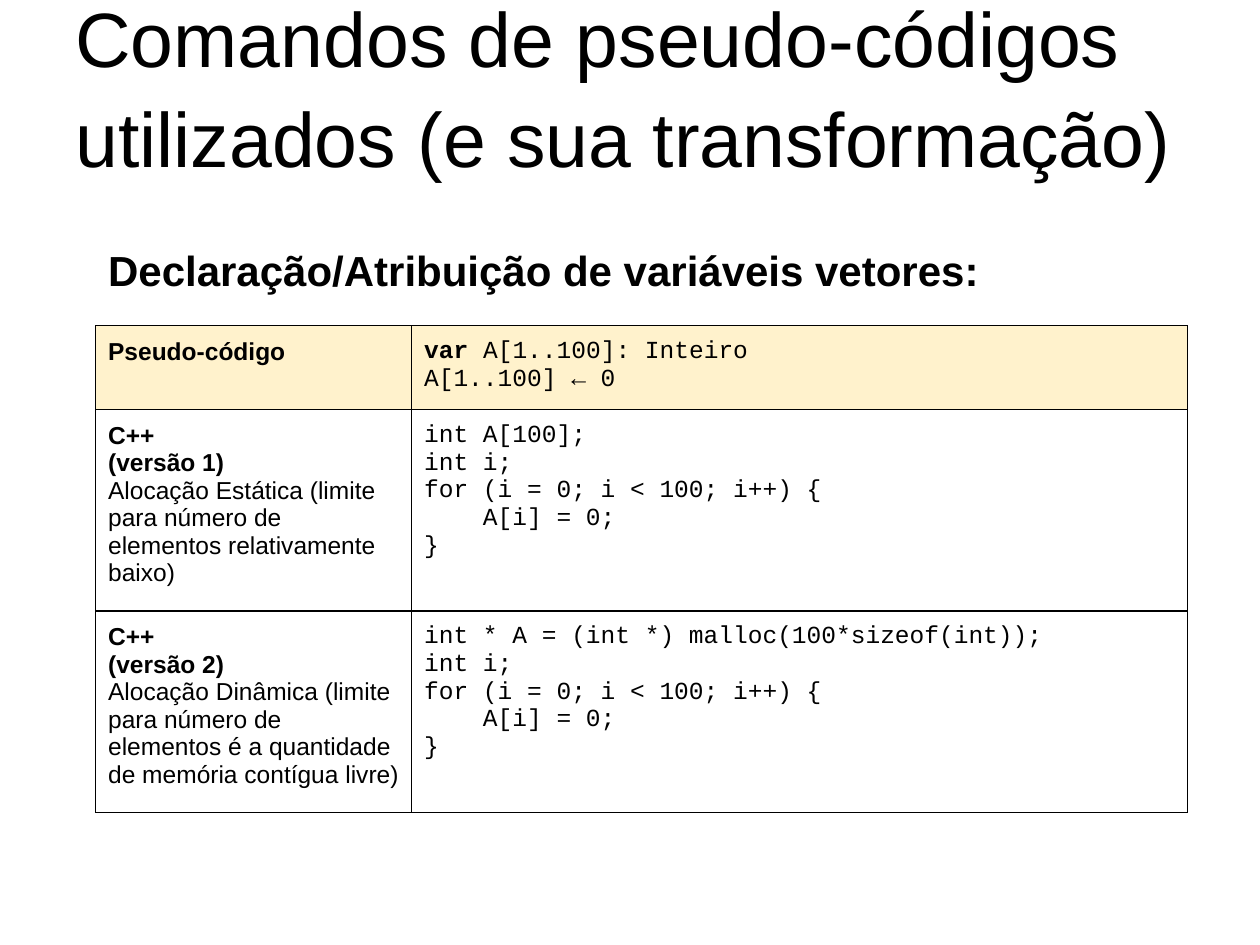
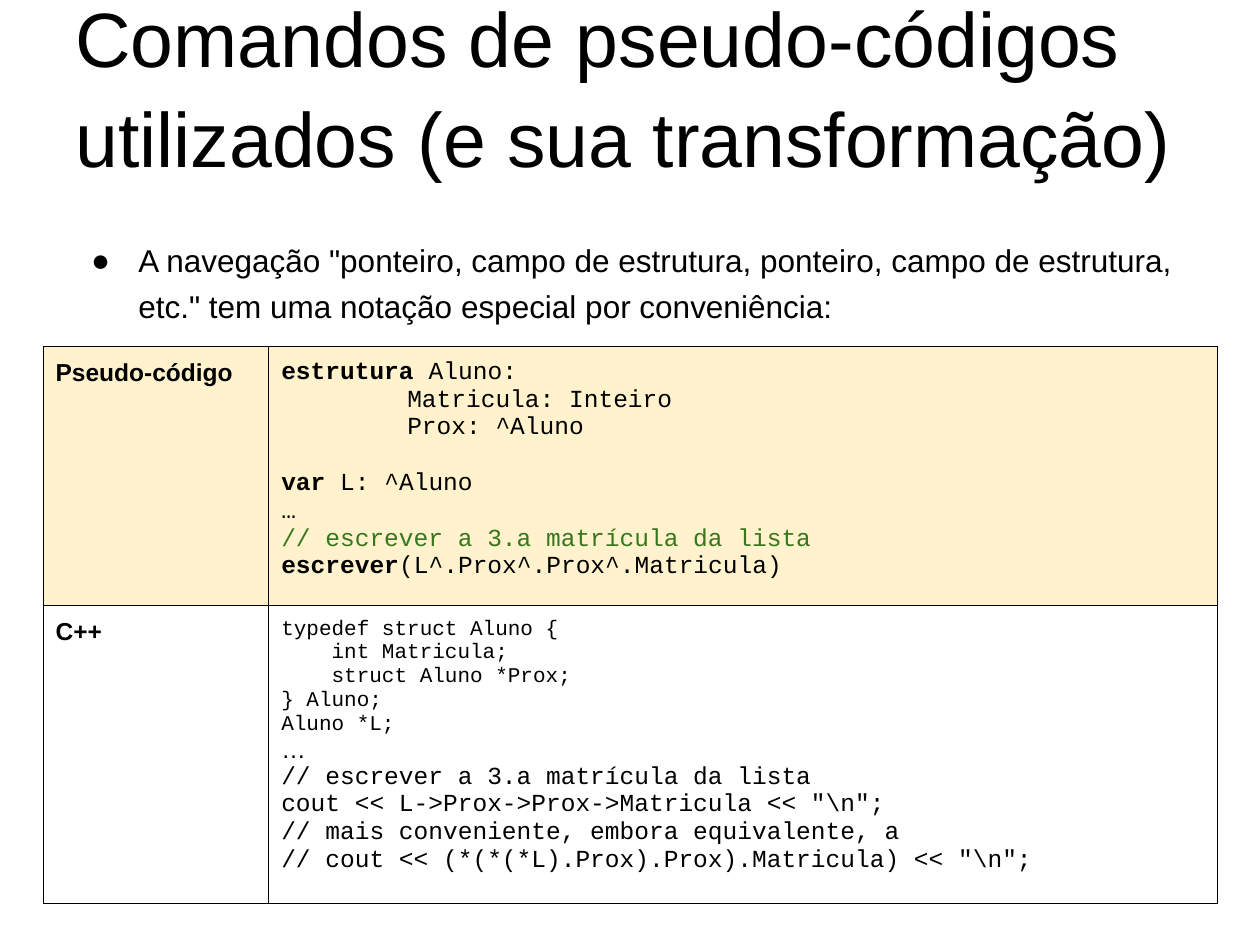
from lxml import etree
from pptx import Presentation
from pptx.dml.color import RGBColor
from pptx.enum.text import MSO_ANCHOR
from pptx.oxml.ns import qn
from pptx.util import Cm, Pt

TOP, BOTTOM = MSO_ANCHOR.TOP, MSO_ANCHOR.BOTTOM
COLORS = {"text": "000000", "header": "FFF2CC", "comment": "38761D", "border": "000000"}
SANS, MONO = "Arial", "Courier New"
INSET = Cm(0.25)

# Text styles: font, size, bold, colour
STYLES = {
    "title": (SANS, 44, False, "text"),
    "heading": (SANS, 24, True, "text"),
    "bullet": (SANS, 18, False, "text"),
    "label": (SANS, 14, True, "text"),
    "note": (SANS, 14, False, "text"),
    "code": (MONO, 14, False, "text"),
    "keyword": (MONO, 14, True, "text"),
    "comment": (MONO, 14, False, "comment"),
    "small": (MONO, 12, False, "text"),
}


# Content: a cell is a list of lines, a line is a list of (text, style) runs
def lines(style, *texts):
    return [[(text, style)] for text in texts]


TITLE = "Comandos de pseudo-códigos utilizados (e sua transformação)"
LOOP = ["int i;", "for (i = 0; i < 100; i++) {", "    A[i] = 0;", "}"]

SLIDES = [
    {
        "body": ("Declaração/Atribuição de variáveis vetores:", "heading"),
        "body_left": 1.93, "body_width": 20.12,
        "table_at": (1.93, 6.57), "cols": (6.37, 15.63), "rows": (1.63, 3.83, 3.83),
        "cells": [
            (lines("label", "Pseudo-código"),
             [[("var ", "keyword"), ("A[1..100]: Inteiro", "code")],
              [("A[1..100] ← 0", "code")]]),
            (lines("label", "C++", "(versão 1)")
             + lines("note", "Alocação Estática (limite para número de elementos "
                             "relativamente baixo)"),
             lines("code", "int A[100];", *LOOP)),
            (lines("label", "C++", "(versão 2)")
             + lines("note", "Alocação Dinâmica (limite para número de elementos é a "
                             "quantidade de memória contígua livre)"),
             lines("code", "int * A = (int *) malloc(100*sizeof(int));", *LOOP)),
        ],
    },
    {
        "body": ('A navegação "ponteiro, campo de estrutura, ponteiro, campo de estrutura, '
                 'etc." tem uma notação especial por conveniência:', "bullet"),
        "body_left": 1.27, "body_width": 22.86,
        "table_at": (0.87, 6.99), "cols": (4.55, 19.12), "rows": (4.98, 5.7),
        "gap_before": "var ",
        "cells": [
            (lines("label", "Pseudo-código"),
             [[("estrutura ", "keyword"), ("Aluno:", "code")]]
             + lines("code", "\tMatricula: Inteiro", "\tProx: ^Aluno")
             + [[("var ", "keyword"), ("L: ^Aluno", "code")]]
             + lines("code", "…")
             + lines("comment", "// escrever a 3.a matrícula da lista")
             + [[("escrever", "keyword"), ("(L^.Prox^.Prox^.Matricula)", "code")]]),
            (lines("label", "C++"),
             lines("small", "typedef struct Aluno {", "    int Matricula;",
                   "    struct Aluno *Prox;", "} Aluno;", "Aluno *L;")
             + lines("note", "…")
             + lines("code", "// escrever a 3.a matrícula da lista",
                     r'cout << L->Prox->Prox->Matricula << "\n";',
                     "// mais conveniente, embora equivalente, a",
                     r'// cout << (*(*(*L).Prox).Prox).Matricula) << "\n";')),
        ],
    },
]


def add_run(p, text, style):
    name, size, bold, color = STYLES[style]
    r = p.add_run()
    r.text = text
    r.font.name, r.font.size, r.font.bold = name, Pt(size), bold
    r.font.color.rgb = RGBColor.from_string(COLORS[color])


def set_insets(box):
    box.margin_left = box.margin_right = box.margin_top = box.margin_bottom = INSET


def add_text(slide, at, text, style, spacing, anchor=TOP):
    tf = slide.shapes.add_textbox(*(Cm(v) for v in at)).text_frame
    tf.word_wrap = True
    tf.vertical_anchor = anchor
    set_insets(tf)
    p = tf.paragraphs[0]
    p.line_spacing = spacing
    if style == "bullet":
        add_bullet(p)
    add_run(p, text, style)


def add_bullet(p):
    pPr = p._p.get_or_add_pPr()
    pPr.set("marL", str(Cm(1.27)))
    pPr.set("indent", str(-Cm(0.95)))
    etree.SubElement(pPr, qn("a:buFont")).set("typeface", SANS)
    etree.SubElement(pPr, qn("a:buChar")).set("char", "●")


def add_borders(cell):
    tcPr = cell._tc.get_or_add_tcPr()
    for side in ("lnL", "lnR", "lnT", "lnB"):
        ln = etree.SubElement(tcPr, qn("a:" + side), w=str(Pt(0.75)))
        fill = etree.SubElement(ln, qn("a:solidFill"))
        etree.SubElement(fill, qn("a:srgbClr")).set("val", COLORS["border"])


def fill_cell(cell, content, gap_before):
    set_insets(cell)
    cell.vertical_anchor = TOP
    tf = cell.text_frame
    for i, runs in enumerate(content):
        p = tf.add_paragraph() if i else tf.paragraphs[0]
        p._p.get_or_add_pPr().set("defTabSz", str(Cm(2.54)))
        if runs[0][0] == gap_before:
            p.space_before = Pt(15.9)
        for text, style in runs:
            add_run(p, text, style)


def add_code_table(slide, data):
    left, top = data["table_at"]
    cols, rows = data["cols"], data["rows"]
    table = slide.shapes.add_table(len(rows), len(cols), Cm(left), Cm(top),
                                   Cm(sum(cols)), Cm(sum(rows))).table
    table.first_row = table.horz_banding = False
    for column, width in zip(table.columns, cols):
        column.width = Cm(width)
    for i, height in enumerate(rows):
        table.rows[i].height = Cm(height)
        for j, content in enumerate(data["cells"][i]):
            cell = table.cell(i, j)
            fill_cell(cell, content, data.get("gap_before"))
            add_borders(cell)
            if i == 0:
                cell.fill.solid()
                cell.fill.fore_color.rgb = RGBColor.from_string(COLORS["header"])
            else:
                cell.fill.background()


def main():
    prs = Presentation()
    prs.slide_width, prs.slide_height = Cm(25.4), Cm(19.05)
    for data in SLIDES:
        slide = prs.slides.add_slide(prs.slide_layouts[6])
        # Title, lead-in text, then the code table
        add_text(slide, (1.27, 0.76, 22.86, 3.18), TITLE, "title", 1.08, BOTTOM)
        add_text(slide, (data["body_left"], 4.45, data["body_width"], 13.79),
                 *data["body"], 1.22)
        add_code_table(slide, data)
    prs.save("out.pptx")


if __name__ == "__main__":
    main()
